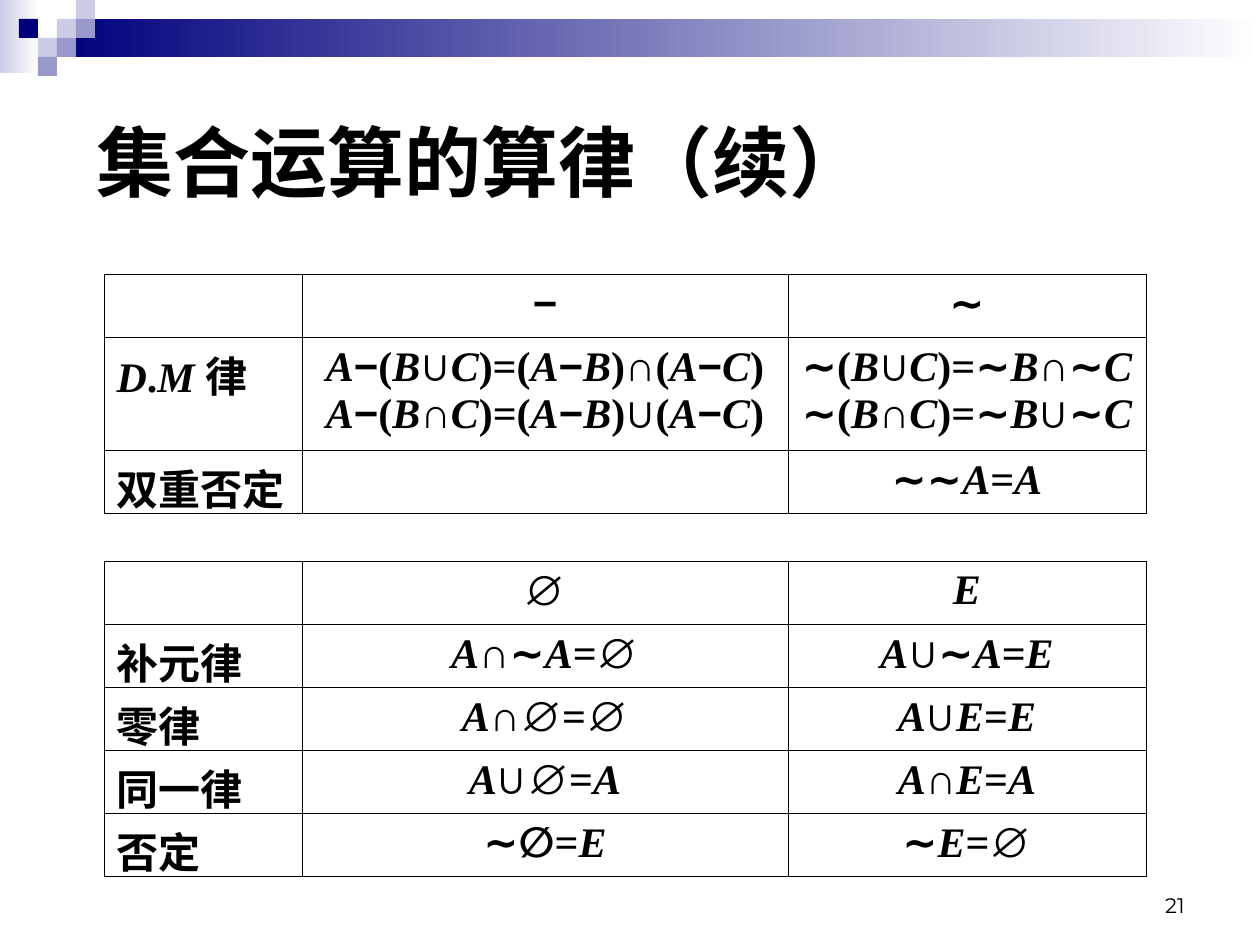
from itertools import groupby

from lxml.etree import SubElement
from pptx import Presentation
from pptx.dml.color import RGBColor
from pptx.enum.shapes import MSO_SHAPE
from pptx.enum.text import MSO_ANCHOR, PP_ALIGN
from pptx.oxml.ns import qn
from pptx.util import Pt

SCALE = 914400 / 126
HEX = {"ink": "000000", "navy": "00007D", "mid": "9999CC",
       "light": "CCCCE6", "white": "FFFFFF"}
SYMBOLS = "−∼∪∩∅"
COLS = [198, 486, 358]

MORGAN = [
    ["", "−", "∼"],
    ["D.M 律",
     "A−(B∪C)=(A−B)∩(A−C)\nA−(B∩C)=(A−B)∪(A−C)",
     "∼(B∪C)=∼B∩∼C\n∼(B∩C)=∼B∪∼C"],
    ["双重否定", "", "∼∼A=A"],
]
BOUNDS = [
    ["", "∅", "E"],
    ["补元律", "A∩∼A=∅", "A∪∼A=E"],
    ["零律", "A∩∅=∅", "A∪E=E"],
    ["同一律", "A∪∅=A", "A∩E=A"],
    ["否定", "∼∅=E", "∼E=∅"],
]


def px(n):
    return round(n * SCALE)


def color(name):
    return RGBColor.from_string(HEX[name])


def style(run, face, size, bold=False, slant=False):
    font = run.font
    font.name, font.size = face, Pt(size)
    font.bold, font.italic = bold, slant
    font.color.rgb = color("ink")


def add_rect(slide, box, *names):
    """A plain fill for one colour, a left-to-right gradient for two."""
    rect = slide.shapes.add_shape(MSO_SHAPE.RECTANGLE, *map(px, box))
    rect.shadow.inherit = False
    rect.line.fill.background()
    if len(names) == 1:
        rect.fill.solid()
        rect.fill.fore_color.rgb = color(names[0])
        return
    rect.fill.gradient()
    rect.fill.gradient_angle = 0
    for stop, name, place in zip(rect.fill.gradient_stops, names, (0, 1)):
        stop.color.rgb = color(name)
        stop.position = place


def add_banner(slide, left, top, width, side):
    add_rect(slide, (left, top, 39, 73), "light", "white")
    add_rect(slide, (left + 3 * side, top + side, width - 3 * side, 2 * side),
             "navy", "white")
    # Small squares on a grid of column and row
    for col, row, name in [(3, 1, "light"), (4, 0, "light"), (4, 1, "mid"),
                           (2, 2, "light"), (1, 1, "navy"), (3, 2, "mid"),
                           (2, 3, "mid")]:
        add_rect(slide, (left + col * side, top + row * side, side, side), name)


def add_label(slide, box, text, face, size, bold, align, anchor):
    frame = slide.shapes.add_textbox(*map(px, box)).text_frame
    frame.word_wrap = True
    frame.vertical_anchor = anchor
    frame.text = text
    para = frame.paragraphs[0]
    para.alignment = align
    style(para.runs[0], face, size, bold)


def kind(char):
    """Font and slant of one character in a formula."""
    if char in SYMBOLS:
        return "Arial", False
    return "Times New Roman", "A" <= char <= "Z"


def write_math(para, text):
    for (face, slant), chars in groupby(text, kind):
        run = para.add_run()
        run.text = "".join(chars)
        style(run, face, 24, True, slant)


def add_border(cell):
    props = cell._tc.get_or_add_tcPr()
    for edge in ("a:lnL", "a:lnR", "a:lnT", "a:lnB"):
        line = SubElement(props, qn(edge), w=str(Pt(0.45)))
        fill = SubElement(line, qn("a:solidFill"))
        SubElement(fill, qn("a:srgbClr"), val=HEX["ink"])


def add_laws(slide, left, top, rows, heights):
    box = map(px, (left, top, sum(COLS), sum(heights)))
    table = slide.shapes.add_table(len(rows), len(COLS), *box).table
    table.first_row = table.horz_banding = False
    for col, width in zip(table.columns, COLS):
        col.width = px(width)
    for r, (row, height) in enumerate(zip(rows, heights)):
        table.rows[r].height = px(height)
        for c, text in enumerate(row):
            cell = table.cell(r, c)
            add_border(cell)
            cell.fill.background()
            frame = cell.text_frame
            for n, line in enumerate(text.split("\n")):
                para = frame.add_paragraph() if n else frame.paragraphs[0]
                para.alignment = PP_ALIGN.CENTER if c else PP_ALIGN.LEFT
                write_math(para, line)


def main():
    deck = Presentation()
    deck.slide_width, deck.slide_height = px(1260), px(945)
    slide = deck.slides.add_slide(deck.slide_layouts[6])
    add_banner(slide, 0, 0, 1260, 19)
    # Page number and title
    add_label(slide, (903, 861, 294, 63), "21", "Montserrat", 12, False,
              PP_ALIGN.RIGHT, MSO_ANCHOR.BOTTOM)
    add_label(slide, (84, 66, 1134, 189), "集合运算的算律（续）", "Arial", 44,
              True, PP_ALIGN.LEFT, MSO_ANCHOR.MIDDLE)
    # Tables of laws
    add_laws(slide, 104, 274, MORGAN, [63, 113, 63])
    add_laws(slide, 104, 561, BOUNDS, [63] * 5)
    deck.save("out.pptx")


if __name__ == "__main__":
    main()
